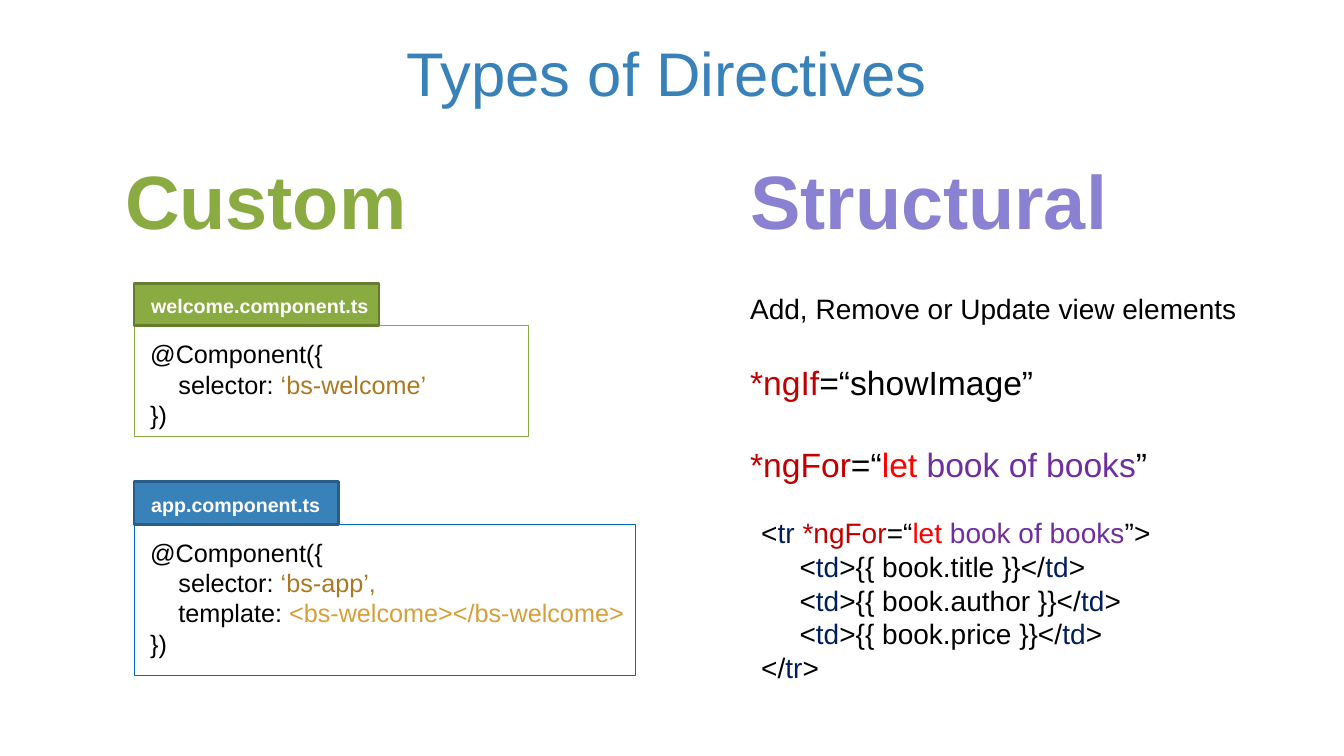
import pptx
import pptx.util
import pptx.dml.color
import pptx.enum.shapes
import pptx.enum.text

BLACK, WHITE, GREEN, BLUE = "000000", "FFFFFF", "8AAB42", "3981B9"
LILAC, GOLD, AMBER = "8A81D2", "AB7921", "D79F39"
CRIMSON, RED, PURPLE, NAVY = "C00000", "FF0000", "6F2F9F", "001F5F"

# A paragraph is (indent in inches, space before in points, size, runs).
TITLE = [(0.01, 1.1, 44, [("Types of Directives", BLUE)])]
CUSTOM = [(0.01, 1, 54, [("Custom", GREEN)])]

LEFT = 1.33
# top, tab width, tab name, tab fill, tab line, box width, box height, box line, code
CARDS = [
    (2.81, 2.43, "welcome.component.ts", GREEN, "647C2D", 3.91, 1.1, GREEN, [
        (0.16, 1, 18, [("@Component({", BLACK)]),
        (0.44, 0, 18, [("selector: ", BLACK), ("‘bs-welcome’", GOLD)]),
        (0.16, 0, 18, [("})", BLACK)]),
    ]),
    (4.78, 2.03, "app.component.ts", BLUE, "285D87", 4.97, 1.5, "006FC0", [
        (0.16, 1, 18, [("@Component({", BLACK)]),
        (0.44, 0, 18, [("selector: ", BLACK), ("‘bs-app’,", GOLD)]),
        (0.44, 0, 18, [("template: ", BLACK),
                       ("<bs-welcome></bs-welcome>", AMBER)]),
        (0.16, 0, 18, [("})", BLACK)]),
    ]),
]
TAB_H = 0.42
CODE_GAP = 0.12

LOOP = [("*ngFor", CRIMSON), ("=“", BLACK), ("let ", RED),
        ("book of books", PURPLE)]
CELLS = [
    (0.5, 0, 20, [("<", BLACK), ("td", NAVY),
                  (">{{ book." + field + " }}</", BLACK),
                  ("td", NAVY), (">", BLACK)])
    for field in ("title", "author", "price")
]
STRUCTURAL = [
    (0.01, 1, 54, [("Structural", LILAC)]),
    (0.01, 33.4, 20, [("Add, Remove or Update view elements", BLACK)]),
    (0.01, 26, 24, [("*ngIf", CRIMSON), ("=“showImage”", BLACK)]),
    (0.01, 30, 24, LOOP + [("”", BLACK)]),
    (0.12, 22.6, 20, [("<", BLACK), ("tr ", NAVY)] + LOOP + [("”>", BLACK)]),
    *CELLS,
    (0.12, 0, 20, [("</", BLACK), ("tr", NAVY), (">", BLACK)]),
]

inch = pptx.util.Inches
RECT = pptx.enum.shapes.MSO_SHAPE.RECTANGLE


def rgb(code):
    return pptx.dml.color.RGBColor.from_string(code)


def write(shape, paras, top=0.01, bold=False):
    """Fill a shape with paragraphs; 54 point headings are always bold."""
    frame = shape.text_frame
    frame.word_wrap = True
    frame.auto_size = pptx.enum.text.MSO_AUTO_SIZE.NONE
    frame.vertical_anchor = pptx.enum.text.MSO_ANCHOR.TOP
    frame.margin_left = frame.margin_right = frame.margin_bottom = 0
    frame.margin_top = inch(top)
    for n, (indent, before, size, runs) in enumerate(paras):
        para = frame.add_paragraph() if n else frame.paragraphs[0]
        para.alignment = pptx.enum.text.PP_ALIGN.LEFT
        para.space_before = pptx.util.Pt(before)
        props = para._p.get_or_add_pPr()
        props.set("marL", str(inch(indent)))
        props.set("indent", "0")
        for text, color in runs:
            run = para.add_run()
            run.text = text
            run.font.name = "Arial"
            run.font.size = pptx.util.Pt(size)
            run.font.bold = bold or size == 54
            run.font.color.rgb = rgb(color)


def text(slide, x, y, w, h, paras):
    write(slide.shapes.add_textbox(inch(x), inch(y), inch(w), inch(h)), paras)


def rect(slide, x, y, w, h, line, width, fill=None):
    shape = slide.shapes.add_shape(RECT, inch(x), inch(y), inch(w), inch(h))
    shape.shadow.inherit = False
    if fill:
        shape.fill.solid()
        shape.fill.fore_color.rgb = rgb(fill)
    else:
        shape.fill.background()
    shape.line.color.rgb = rgb(line)
    shape.line.width = pptx.util.Pt(width)
    return shape


def card(slide, top, tab_w, name, fill, edge, w, h, line, code):
    """Draw a code box with a file name tab on top of it."""
    body = top + TAB_H
    rect(slide, LEFT, body, w, h, line, 0.72)
    tab = rect(slide, LEFT, top, tab_w, TAB_H, edge, 2.04, fill)
    write(tab, [(0.17, 8, 14, [(name, WHITE)])], top=0.11, bold=True)
    text(slide, LEFT, body + CODE_GAP, w, h - 2 * CODE_GAP, code)


def main():
    deck = pptx.Presentation()
    deck.slide_width, deck.slide_height = inch(13.33), inch(7.5)
    slide = deck.slides.add_slide(deck.slide_layouts[5])
    title = slide.shapes.title
    title.left, title.top = inch(4.02), inch(0.34)
    title.width, title.height = inch(5.23), inch(0.76)
    write(title, TITLE)
    text(slide, 1.23, 1.52, 2.82, 0.93, CUSTOM)
    for item in CARDS:
        card(slide, *item)
    text(slide, 7.43, 1.52, 4.85, 5.25, STRUCTURAL)
    deck.save("out.pptx")


if __name__ == "__main__":
    main()
